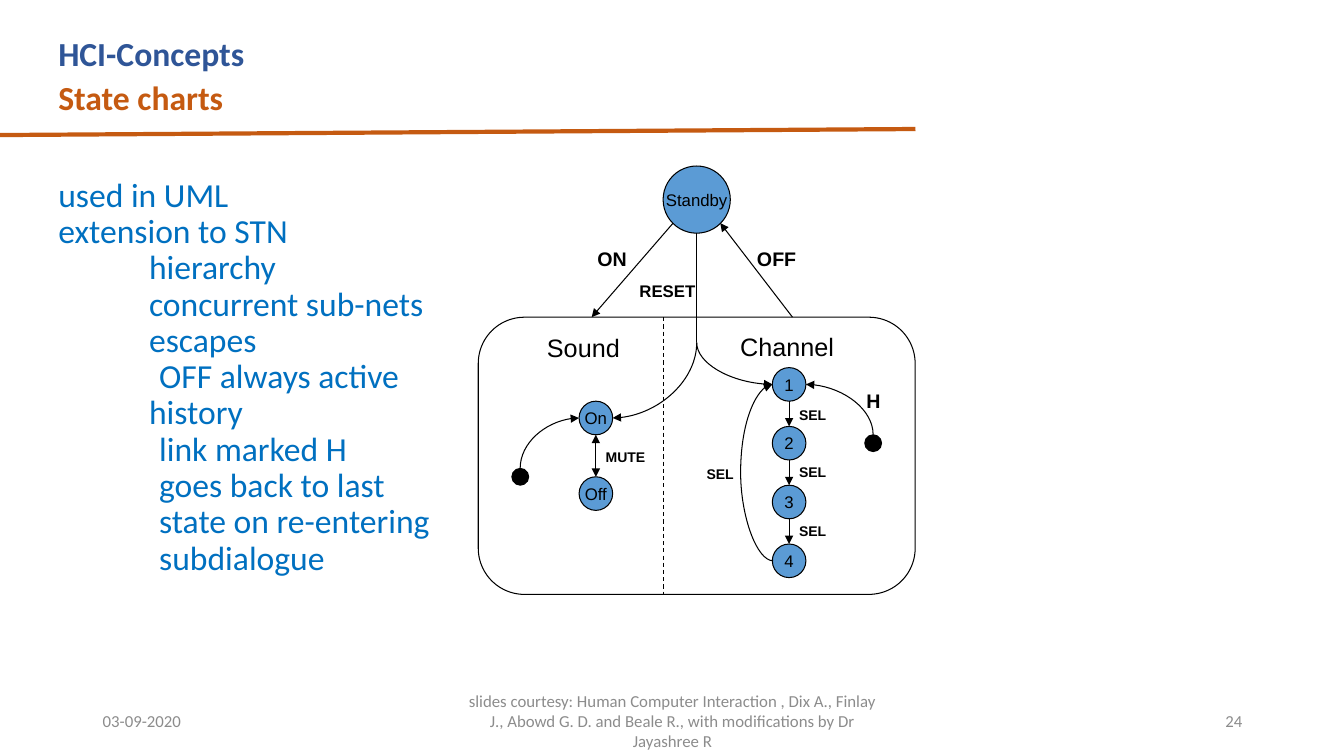
from lxml.etree import SubElement
from pptx import Presentation
from pptx.dml.color import RGBColor
from pptx.enum.dml import MSO_LINE
from pptx.enum.shapes import MSO_CONNECTOR as Link, MSO_SHAPE as Shape
from pptx.enum.text import MSO_ANCHOR as Anchor, PP_ALIGN as Align
from pptx.oxml.ns import qn
from pptx.util import Inches, Pt

COLORS = {"heading": "2F5597", "accent": "C55A11", "body": "0070C0",
          "footer": "8C8C8C", "state": "5B9BD5", "ink": "000000"}
COLORS = {part: RGBColor.from_string(code) for part, code in COLORS.items()}

prs = Presentation()
prs.slide_width, prs.slide_height = Inches(13.33), Inches(7.5)
slide = prs.slides.add_slide(prs.slide_layouts[6])
shapes = slide.shapes

# The diagram lies on a grid of 1/12 inch, centred on the Standby state.
CELL = Inches(1) / 12
CENTER_X, CENTER_Y = Inches(6.91), Inches(1.98)


def write(frame, text, size, color, font="Calibri", bold=False, align=Align.LEFT):
    frame.text = text
    for paragraph in frame.paragraphs:
        paragraph.alignment = align
        for run in paragraph.runs:
            run.font.size, run.font.name, run.font.bold = Pt(size), font, bold
            run.font.color.rgb = COLORS[color]


def connect(begin, end, arrows=(), preset=None, bend=None):
    """Join two grid points; arrows names the headEnd and tailEnd to point."""
    (x1, y1), (x2, y2) = begin, end
    link = shapes.add_connector(
        Link.CURVE if preset else Link.STRAIGHT,
        int(CENTER_X + x1 * CELL), int(CENTER_Y + y1 * CELL),
        int(CENTER_X + x2 * CELL), int(CENTER_Y + y2 * CELL))
    link.line.color.rgb, link.line.width = COLORS["ink"], Pt(0.75)
    properties = link._element.spPr
    for arrow in arrows:
        SubElement(link.line._get_or_add_ln(), qn(f"a:{arrow}"), type="triangle")
    SubElement(properties, qn("a:effectLst"))
    if preset:
        geometry = properties.find(qn("a:prstGeom"))
        geometry.set("prst", preset)
        if bend is not None:
            SubElement(geometry.find(qn("a:avLst")), qn("a:gd"),
                       name="adj1", fmla=f"val {bend}")
    return link


# Headings and rule
for heading, top, color in (("HCI-Concepts", 0.28, "heading"),
                            ("State charts", 0.71, "accent")):
    box = shapes.add_textbox(Inches(0.48), Inches(top), Inches(8), Inches(0.5))
    write(box.text_frame, heading, 24, color, bold=True)

rule = shapes.add_connector(Link.STRAIGHT, 0, Inches(1.34), Inches(9.08), Inches(1.28))
rule.line.color.rgb, rule.line.width = COLORS["accent"], Pt(3)
SubElement(rule._element.spPr, qn("a:effectLst"))

# Footer
COURTESY = ("slides courtesy: Human Computer Interaction , Dix A., Finlay J., "
            "Abowd G. D. and Beale R., with modifications by Dr Jayashree R")
for note, left, width, align in (("03-09-2020", 0.92, 3, Align.LEFT),
                                 (COURTESY, 4.42, 4.5, Align.CENTER),
                                 ("24", 9.42, 3, Align.RIGHT)):
    footer = shapes.add_textbox(Inches(left), Inches(6.95), Inches(width), Inches(0.4))
    frame = footer.text_frame
    frame.word_wrap, frame.vertical_anchor = True, Anchor.MIDDLE
    if align == Align.CENTER:
        frame.margin_left = frame.margin_right = Inches(0.2)
    write(frame, note, 12, "footer", align=align)

# Outline of topics: level and text
INDENTS = (0, 0.9, 1)
topics = (
    (0, "used in UML"), (0, "extension to STN"),
    (1, "hierarchy"), (1, "concurrent sub-nets"), (1, "escapes"),
    (2, "OFF always active"), (1, "history"),
    (2, "link marked H\vgoes back to last\vstate on re-entering\vsubdialogue"),
)
outline = shapes.add_textbox(Inches(0.48), Inches(1.72), Inches(9.52), Inches(4.1)).text_frame
outline.word_wrap = True
write(outline, "\n".join(text for level, text in topics), 24, "body")
for paragraph, (level, text) in zip(outline.paragraphs, topics):
    paragraph.level, paragraph.line_spacing = level, 0.9
    paragraph._p.get_or_add_pPr().set("marL", str(Inches(INDENTS[level])))
    paragraph._p.get_or_add_pPr().set("indent", "0")

# Superstate with its two concurrent halves
LEFT, TOP, WIDTH, HEIGHT, DIVIDER = -26, 14, 52, 33, -4
superstate = shapes.add_shape(
    Shape.ROUNDED_RECTANGLE, int(CENTER_X + LEFT * CELL), int(CENTER_Y + TOP * CELL),
    int(WIDTH * CELL), int(HEIGHT * CELL))
superstate.shadow.inherit = False
superstate.fill.background()
superstate.line.color.rgb, superstate.line.width = COLORS["ink"], Pt(0.75)
divider = connect((DIVIDER, TOP), (DIVIDER, TOP + HEIGHT))
divider.line.dash_style = MSO_LINE.DASH

# States: name, centre, radius and fill; start points have no name
SOUND, CHANNEL, START = -12, 11, 21
channel_rows = [22 + 7 * step for step in range(4)]
states = [("Standby", 0, 0, 4, "state"),
          ("On", SOUND, 26, 2, "state"), ("Off", SOUND, 35, 2, "state"),
          ("", START, 29, 1, "ink"), ("", -START, 33, 1, "ink")]
states += [(str(number), CHANNEL, row, 2, "state")
           for number, row in enumerate(channel_rows, 1)]
for name, x, y, radius, fill in states:
    state = shapes.add_shape(
        Shape.OVAL, int(CENTER_X + (x - radius) * CELL), int(CENTER_Y + (y - radius) * CELL),
        int(2 * radius * CELL), int(2 * radius * CELL))
    state.shadow.inherit = False
    state.fill.solid()
    state.fill.fore_color.rgb = COLORS[fill]
    state.line.color.rgb, state.line.width = COLORS["ink"], Pt(0.75)
    if name:
        state.text_frame.word_wrap = False
        state.text_frame.vertical_anchor = Anchor.MIDDLE
        write(state.text_frame, name, 12, "ink", "Arial", align=Align.CENTER)

# Straight transitions
connect((-2.8, 2.8), (-12.5, TOP), ["tailEnd"])
connect((11.4, TOP), (2.8, 2.8), ["tailEnd"])
connect((0, 4), (0, 17))
connect((SOUND, 28), (SOUND, 33), ["headEnd", "tailEnd"])
for row in channel_rows[:-1]:
    connect((CHANNEL, row + 2), (CHANNEL, row + 5), ["tailEnd"])

# Curved transitions, each drawn from the state it enters
for target, origin in (((CHANNEL + 2, 22), (START, 28)),
                       ((SOUND - 2, 26), (-START, 32)),
                       ((CHANNEL - 2, 22), (0, 17)),
                       ((SOUND + 2, 26), (0, 17))):
    connect(target, origin, ["headEnd"], "curvedConnector2")
connect((CHANNEL - 2, 22), (CHANNEL - 1.9, 43), ["headEnd"], "curvedConnector3", -3800000)

# Labels: text, left, top, width, size, bold
labels = [("Sound", -19, 15.2, 12, 18, False), ("Channel", 4, 15.1, 14, 18, False),
          ("ON", -13, 5, 6, 14, True), ("OFF", 6, 5, 7.2, 14, True),
          ("RESET", -8, 9.1, 9.2, 12, True), ("H", 19, 22, 4.2, 14, True),
          ("MUTE", SOUND, 29, 7.4, 10, True), ("SEL", 0, 31.1, 5.8, 10, True)]
labels += [("SEL", CHANNEL, top, 5.8, 10, True) for top in (24.1, 30.8, 37.9)]
for text, left, top, width, size, bold in labels:
    label = shapes.add_textbox(int(CENTER_X + left * CELL), int(CENTER_Y + top * CELL),
                               int(width * CELL), Pt(1.2 * size + 7.2))
    label.text_frame.word_wrap = False
    write(label.text_frame, text, size, "ink", "Arial", bold)

prs.save("out.pptx")
